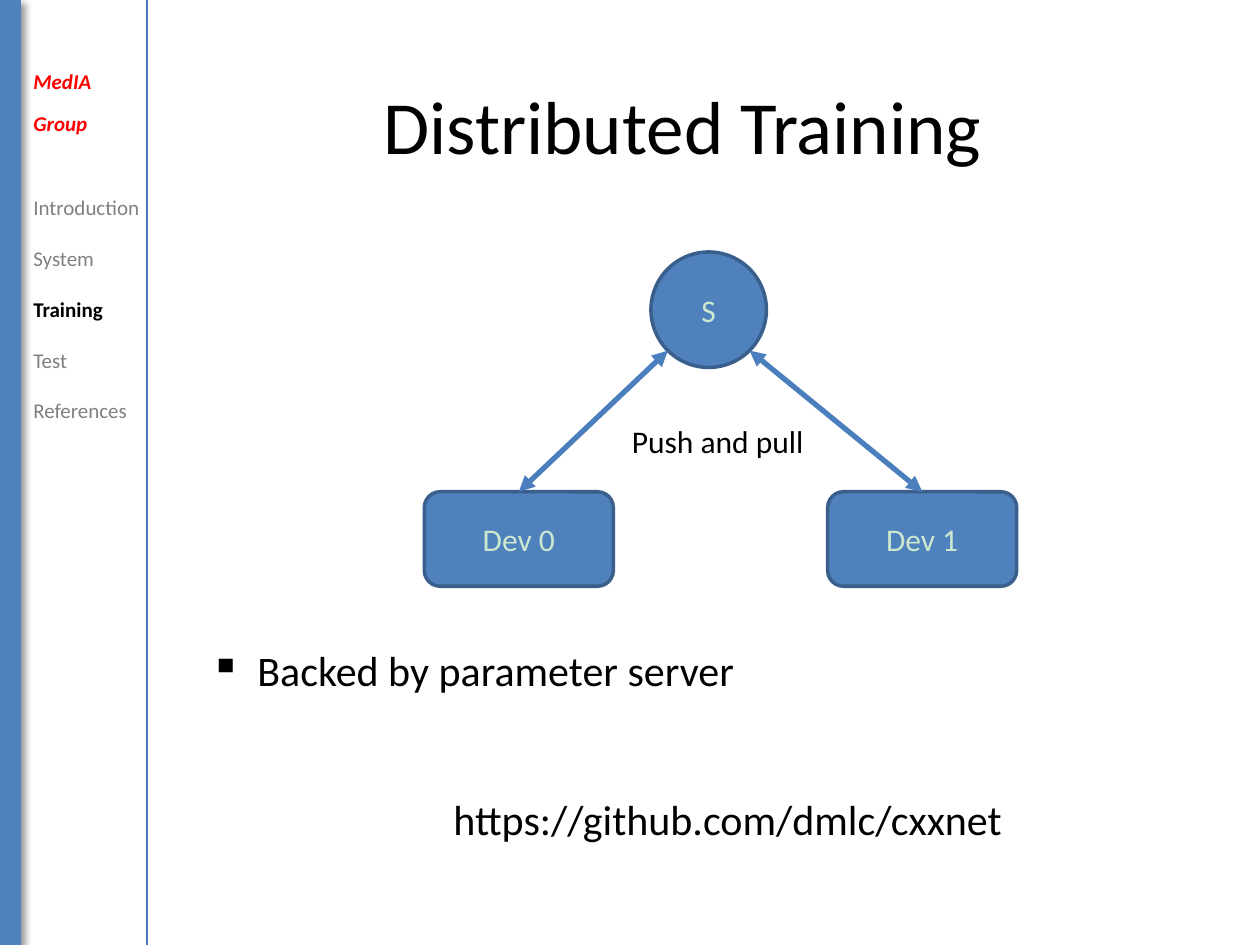
from math import cos, pi

from lxml.etree import SubElement
from pptx import Presentation
from pptx.dml.color import RGBColor
from pptx.enum.shapes import MSO_CONNECTOR, MSO_SHAPE
from pptx.enum.text import MSO_ANCHOR, PP_ALIGN
from pptx.oxml.ns import qn
from pptx.util import Pt

WIDTH, HEIGHT = 720, 540
BLUE, EDGE, ARROW = "4F81BD", "3A5F8C", "4B7EBC"
BLACK, WHITE, GRAY, RED, MINT = "000000", "FFFFFF", "808080", "FF0000", "CCE8CF"


def color(hex_value):
    return RGBColor.from_string(hex_value)


def child(parent, tag, **attributes):
    return SubElement(parent, qn(tag), {key: str(value) for key, value in attributes.items()})


class SlideBuilder:
    """Holds the shared style and the slide being drawn."""

    font_name = "Calibri"

    def __init__(self, slide):
        self.slide = slide
        slide.background.fill.solid()
        slide.background.fill.fore_color.rgb = color(WHITE)

    def style(self, paragraph, ink, **formats):
        paragraph.font.color.rgb = color(ink)
        for key, value in {"name": self.font_name, **formats}.items():
            setattr(paragraph.font, key, value)

    def text(self, box, wording, size, ink=BLACK, align=PP_ALIGN.LEFT,
             anchor=MSO_ANCHOR.TOP, bullet=None):
        left, top, width, height = map(Pt, box)
        frame = self.slide.shapes.add_textbox(left, top, width, height).text_frame
        frame.word_wrap = True
        frame.vertical_anchor = anchor
        paragraph = frame.paragraphs[0]
        paragraph.text = wording
        paragraph.alignment = align
        if bullet:
            properties = paragraph._p.get_or_add_pPr()
            properties.set("marL", str(Pt(27)))
            properties.set("indent", str(-Pt(27)))
            child(properties, "a:buChar", char=bullet)
        self.style(paragraph, ink, size=Pt(size))
        return frame

    def outline(self, box, entries, current):
        """Section list under the group name, with the current section in bold."""
        frame = self.text(box, "MedIA Group", 12, RED)
        heading = frame.paragraphs[0]
        heading.line_spacing = Pt(24)
        self.style(heading, RED, bold=True, italic=True)
        for index, entry in enumerate(entries):
            paragraph = frame.add_paragraph()
            paragraph.text = entry
            paragraph.space_before = Pt(14.65 if index else 24)
            if index == 0:
                paragraph.line_spacing = Pt(24)
            active = entry == current
            self.style(paragraph, BLACK if active else GRAY, size=Pt(12), bold=active)

    def sidebar(self, width):
        bar = self.slide.shapes.add_shape(MSO_SHAPE.RECTANGLE, 0, 0, Pt(width), Pt(HEIGHT))
        bar.fill.solid()
        bar.fill.fore_color.rgb = color(BLUE)
        bar.line.fill.background()
        bar.shadow.inherit = False
        effects = bar._element.spPr.find(qn("a:effectLst"))
        shadow = child(effects, "a:outerShdw", blurRad=Pt(4), dist=Pt(3),
                       dir=45 * 60000, algn="tl", rotWithShape=0)
        child(child(shadow, "a:srgbClr", val=BLACK), "a:alpha", val=40000)

    def node(self, kind, box, label):
        shape = self.slide.shapes.add_shape(kind, *map(Pt, box))
        shape.shadow.inherit = False
        shape.fill.solid()
        shape.fill.fore_color.rgb = color(BLUE)
        shape.line.color.rgb = color(EDGE)
        shape.line.width = Pt(2)
        shape.text_frame.vertical_anchor = MSO_ANCHOR.MIDDLE
        paragraph = shape.text_frame.paragraphs[0]
        paragraph.text = label
        paragraph.alignment = PP_ALIGN.CENTER
        self.style(paragraph, MINT, size=Pt(18))

    def line(self, start, end, width, arrows=False):
        connector = self.slide.shapes.add_connector(
            MSO_CONNECTOR.STRAIGHT, *map(Pt, (*start, *end)))
        connector.line.color.rgb = color(ARROW)
        connector.line.width = Pt(width)
        if arrows:
            stroke = connector.line._get_or_add_ln()
            for tag in ("a:headEnd", "a:tailEnd"):
                child(stroke, tag, type="triangle")
        child(connector._element.spPr, "a:effectLst")


def main():
    deck = Presentation()
    deck.slide_width, deck.slide_height = Pt(WIDTH), Pt(HEIGHT)
    builder = SlideBuilder(deck.slides.add_slide(deck.slide_layouts[6]))

    builder.sidebar(12)
    builder.line((84, 0), (84, HEIGHT), 1)
    builder.text((66, 26, 648, 90), "Distributed Training", 42.9,
                 align=PP_ALIGN.CENTER, anchor=MSO_ANCHOR.MIDDLE)
    builder.text((252, 450, 331, 36), "https://github.com/dmlc/cxxnet", 24)

    radius, server_x, server_y = 33, 405, 177
    device_width, device_height, device_top = 108, 54, 281
    builder.node(MSO_SHAPE.OVAL, (server_x - radius, server_y - radius,
                                  2 * radius, 2 * radius), "S")
    reach = radius * cos(pi / 4)
    for number, (side, left) in enumerate(((-1, 242.5), (1, 473))):
        builder.node(MSO_SHAPE.ROUNDED_RECTANGLE,
                     (left, device_top, device_width, device_height), f"Dev {number}")
        builder.line((server_x + side * reach, server_y + reach),
                     (left + device_width / 2, device_top), 3, arrows=True)

    builder.text((354, 237.5, 120, 29), "Push and pull", 18)
    builder.text((113, 365, 317, 36), "Backed by parameter server", 24, bullet="▪")
    builder.outline((12, 26, 78, 220),
                    ("Introduction", "System", "Training", "Test", "References"),
                    current="Training")
    deck.save("out.pptx")


if __name__ == "__main__":
    main()
